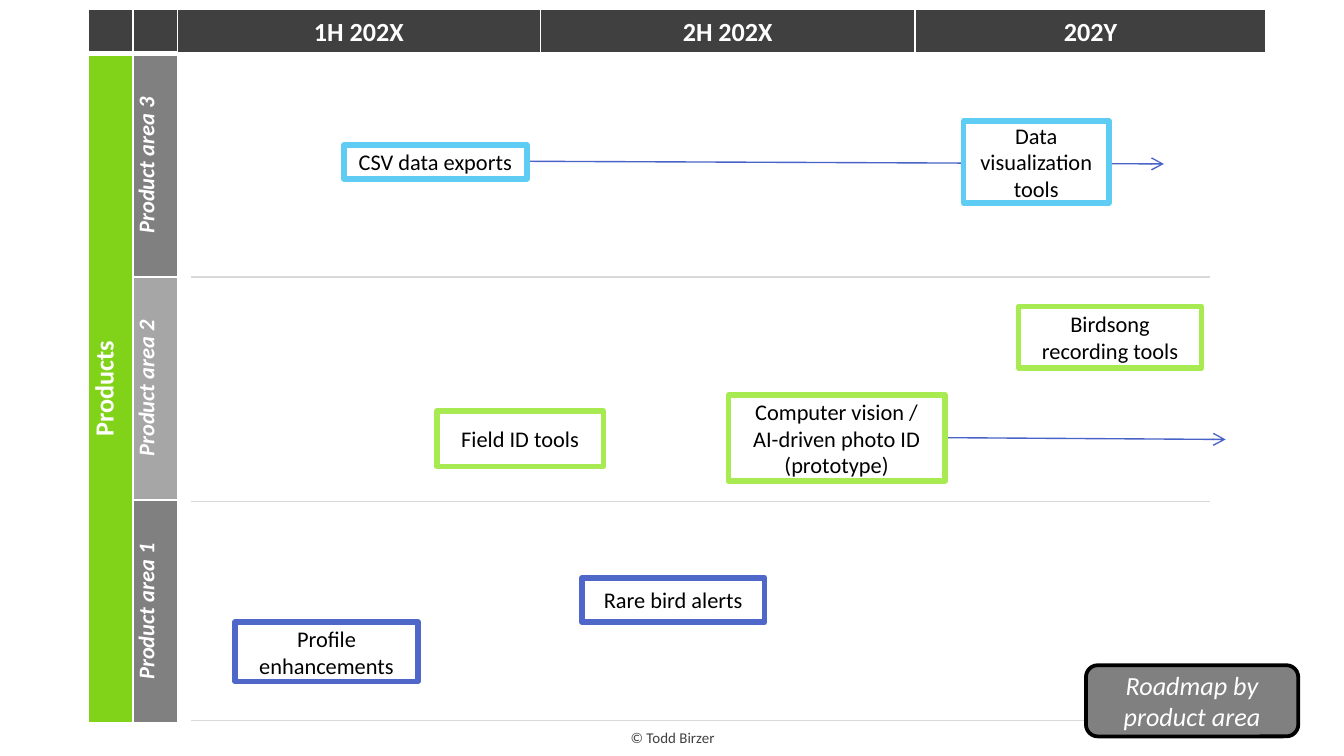
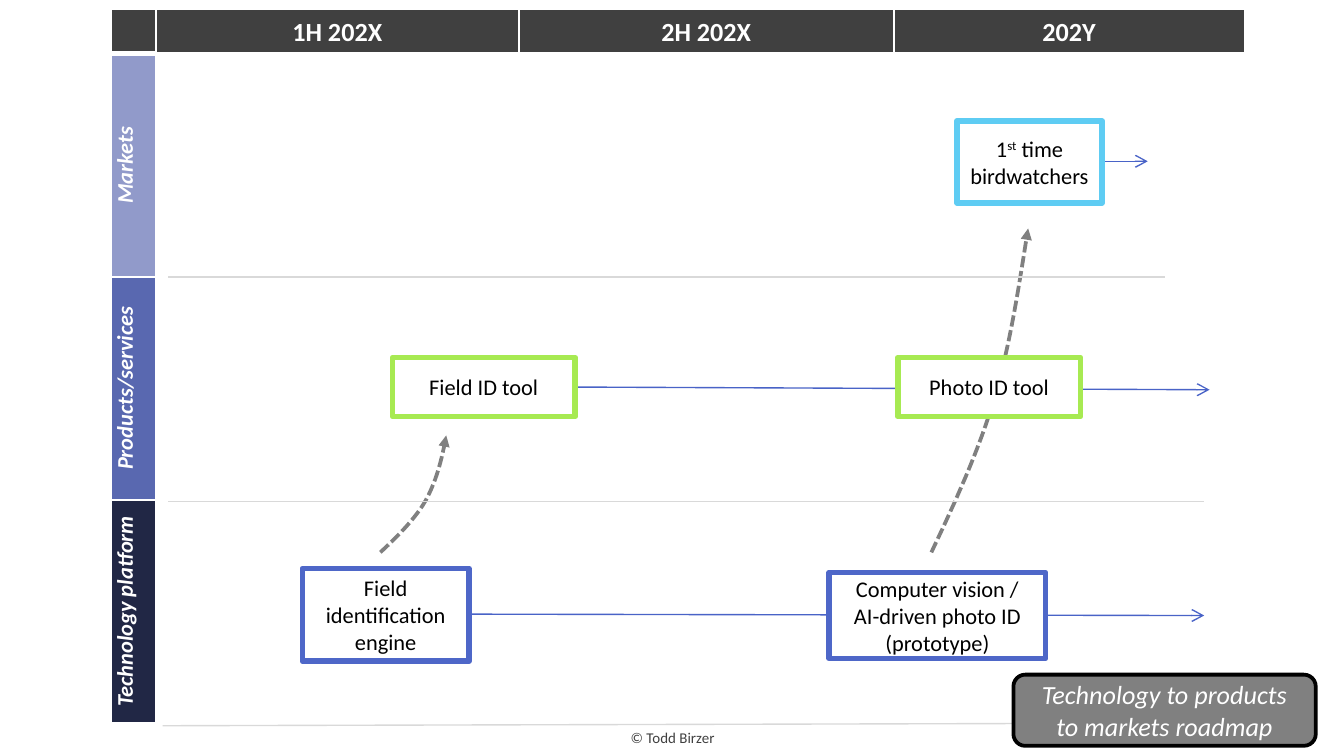
"""Build two roadmap slides: by product area, and from technology to markets."""
import lxml.etree
import pptx
import pptx.dml.color
import pptx.enum.dml
import pptx.enum.shapes
import pptx.enum.text
import pptx.oxml.ns
import pptx.util

INK = {
    "white": "FFFFFF", "black": "000000", "head": "404040", "gray": "808080",
    "pale": "A6A6A6", "rule": "D9D9D9", "arrow": "4963C7", "lime": "81D31A",
    "green": "A7EA52", "blue": "4E67C8", "sky": "5ECCF3",
    "mist": "919ACA", "slate": "5968B0", "navy": "212745",
}
FACE = "Calibri"
WIDE, HIGH = 100, 56.25
TOP, HEAD, LANE, RAIL = 0.7, 3.3, 16.6, 3.3
SPANS = {"1H 202X": 27, "2H 202X": 27.9, "202Y": 26.1}
PROTO = "Computer vision / AI-driven photo ID (prototype)"
MID = pptx.enum.text.MSO_ANCHOR.MIDDLE
FORMS = pptx.enum.shapes.MSO_SHAPE


def unit(num):
    """Turn grid units, a hundredth of the slide's width, into a length."""
    return pptx.util.Emu(round(num * 91440))


def tone(name):
    """Look up a colour."""
    return pptx.dml.color.RGBColor.from_string(INK[name])


def node(parent, tag, **attrs):
    """Add a drawing element below a parent."""
    return lxml.etree.SubElement(parent, pptx.oxml.ns.qn("a:" + tag), **attrs)


def write(frame, runs, size, ink, bold=False, slant=False):
    """Fill a text frame with one centred paragraph."""
    para = frame.paragraphs[0]
    para.alignment = pptx.enum.text.PP_ALIGN.CENTER
    for text, base in ([(runs, 0)] if isinstance(runs, str) else runs):
        run = para.add_run()
        run.text = text
        font = run.font
        font.name, font.size = FACE, pptx.util.Pt(size)
        font.bold, font.italic = bold, slant
        font.color.rgb = tone(ink)
        if base:
            run._r.get_or_add_rPr().set("baseline", str(base * 1000))


def stroke(line, ink, width, tip=None):
    """Set a line's colour, width and arrowhead."""
    line.color.rgb = tone(ink)
    line.width = pptx.util.Pt(width)
    if tip:
        node(line._get_or_add_ln(), "tailEnd", type=tip)


def link(slide, box, ends, ink, tip=None):
    """Draw a straight line between two points of a box."""
    left, top = box
    x1, y1, x2, y2 = ends
    item = slide.shapes.add_connector(
        pptx.enum.shapes.MSO_CONNECTOR.STRAIGHT,
        unit(left + x1), unit(top + y1), unit(left + x2), unit(top + y2))
    stroke(item.line, ink, 0.75, tip)
    node(item._element.spPr, "effectLst")


def block(slide, form, box, place, fill, edge, width):
    """Place an outlined shape in a box and return its text frame."""
    left, top = box
    col, row, wide, high = place
    item = slide.shapes.add_shape(
        form, unit(left + col), unit(top + row), unit(wide), unit(high))
    item.shadow.inherit = False
    item.fill.solid()
    item.fill.fore_color.rgb = tone(fill)
    stroke(item.line, edge, width)
    frame = item.text_frame
    frame.word_wrap = True
    frame.vertical_anchor = MID
    frame.margin_left = frame.margin_right = unit(0.9)
    return frame


def curve(slide, box, knots):
    """Draw a dashed arrow along joined cubic curves."""
    left, top = box
    dots = [knots[0]]
    for start in range(0, len(knots) - 1, 3):
        part = knots[start:start + 4]
        for step in range(1, 13):
            t = step / 12
            mix = ((1 - t) ** 3, 3 * t * (1 - t) ** 2,
                   3 * t * t * (1 - t), t ** 3)
            dots.append(tuple(
                sum(m * p[axis] for m, p in zip(mix, part))
                for axis in (0, 1)))
    dots = [(unit(left + x), unit(top + y)) for x, y in dots]
    path = slide.shapes.build_freeform(*dots[0])
    path.add_line_segments(dots[1:], close=False)
    item = path.convert_to_shape()
    item.shadow.inherit = False
    item.fill.background()
    item.line.dash_style = pptx.enum.dml.MSO_LINE.SQUARE_DOT
    stroke(item.line, "gray", 2, "triangle")


def paint(cell, fill, top=1, low=1):
    """Give a table cell white borders and a fill."""
    props = cell._tc.get_or_add_tcPr()
    for side, width in zip("LRTB", (1, 1, top, low)):
        edge = node(props, "ln" + side, w=str(width * 12700))
        node(node(edge, "solidFill"), "srgbClr", val=INK["white"])
    cell.fill.solid()
    cell.fill.fore_color.rgb = tone(fill)


def table(slide, box, cols, rows):
    """Add a plain table with the given column and row sizes."""
    left, top = box
    item = slide.shapes.add_table(
        len(rows), len(cols), unit(left), unit(top),
        unit(sum(cols)), unit(sum(rows))).table
    item.first_row = item.horz_banding = False
    for parts, sizes in ((item.columns, cols), (item.rows, rows)):
        for part, size in zip(parts, sizes):
            if parts is item.columns:
                part.width = unit(size)
            else:
                part.height = unit(size)
    return item


def header(slide, box):
    """Add the band of time spans."""
    grid = table(slide, box, list(SPANS.values()), [HEAD])
    for cell, name in zip(grid.rows[0].cells, SPANS):
        paint(cell, "head", low=3)
        write(cell.text_frame, name, 14, "white", bold=True)


def rail(slide, box, lanes, group):
    """Add the upright lane names, with a group name where there is one."""
    count = 2 if group else 1
    grid = table(slide, box, [RAIL] * count, [HEAD] + [LANE] * len(lanes))
    for row in range(len(lanes) + 1):
        for col in range(count):
            cell = grid.cell(row, col)
            cell.margin_left = cell.margin_right = 0
            cell.margin_top = cell.margin_bottom = 0
            if row == 0:
                paint(cell, "head", low=3)
                continue
            cell.vertical_anchor = MID
            cell._tc.get_or_add_tcPr().set("vert", "vert270")
            last = col == count - 1
            fill = lanes[row - 1]["fill"] if last else "lime"
            paint(cell, fill, top=3 if row == 1 else 1)
            if last:
                write(cell.text_frame, lanes[row - 1]["name"], 12, "white",
                      bold=True, slant=True)
    if group:
        grid.cell(1, 0).merge(grid.cell(len(lanes), 0))
        write(grid.cell(1, 0).text_frame, group, 14, "white", bold=True)


def lane(slide, box, data):
    """Fill one lane with its rule, arrow and boxes."""
    link(slide, box, data["rule"], "rule")
    if "arrow" in data:
        link(slide, box, data["arrow"], "arrow", "arrow")
    for text, edge, *place in data["items"]:
        frame = block(slide, FORMS.FLOWCHART_PROCESS, box, place,
                      "white", edge, 3)
        write(frame, text, 12, "black")


def footer(slide):
    """Add the footer line."""
    item = slide.shapes.add_textbox(
        unit(45.7), unit(53.7), unit(8.7), unit(2.4))
    item.text_frame.word_wrap = False
    item.text_frame.auto_size = pptx.enum.text.MSO_AUTO_SIZE.SHAPE_TO_FIT_TEXT
    write(item.text_frame, "© Todd Birzer", 8, "head")


def board(deck, left, lanes, tag, place, group=None, curves=()):
    """Build one roadmap slide whose time axis starts at left."""
    slide = deck.slides.add_slide(deck.slide_layouts[6])
    footer(slide)
    header(slide, (left, TOP))
    rail(slide, (left - RAIL * (2 if group else 1), TOP), lanes, group)
    for knots in curves:
        curve(slide, (left, TOP), knots)
    for row, data in enumerate(lanes):
        lane(slide, (left, TOP + HEAD + row * LANE), data)
    frame = block(slide, FORMS.ROUNDED_RECTANGLE, (0, 0), place,
                  "gray", "black", 2)
    write(frame, tag, 14, "white", slant=True)


AREAS = [
    {"name": "Product area 3", "fill": "gray", "rule": (1, 16.6, 76.8, 16.6),
     "arrow": (25.9, 8, 73.4, 8.2),
     "items": [("CSV data exports", "sky", 12.4, 6.8, 13.6, 2.5),
               ("Data visualization tools", "sky", 58.5, 5, 10.8, 6.1)]},
    {"name": "Product area 2", "fill": "pale", "rule": (1, 16.7, 76.8, 16.7),
     "arrow": (46.8, 11.9, 78, 12.1),
     "items": [("Field ID tools", "green", 19.3, 10, 12.4, 4.1),
               (PROTO, "green", 41, 8.8, 16.1, 6.4),
               ("Birdsong recording tools", "green", 62.6, 2.2, 13.6, 4.6)]},
    {"name": "Product area 1", "fill": "gray", "rule": (1, 16.4, 78, 16.4),
     "items": [("Rare bird alerts", "blue", 30.1, 5.8, 13.6, 3.3),
               ("Profile enhancements", "blue", 4.3, 9.1, 13.6, 4.4)]},
]
FIRST = [("1", 0), ("st", 30), (" time birdwatchers", 0)]
LAYERS = [
    {"name": "Markets", "fill": "mist", "rule": (0.9, 16.6, 75.1, 16.6),
     "arrow": (70.5, 8, 73.8, 8),
     "items": [(FIRST, "sky", 59.6, 5, 10.8, 6.1)]},
    {"name": "Products/services", "fill": "slate",
     "rule": (0.9, 16.7, 78, 16.7), "arrow": (31.1, 8.2, 78.4, 8.4),
     "items": [("Field ID tool", "green", 17.6, 6, 13.6, 4.4),
               ("Photo ID tool", "green", 55.2, 6, 13.6, 4.4)]},
    {"name": "Technology platform", "fill": "navy",
     "rule": (0.5, 16.8, 78.4, 16.6), "arrow": (23.3, 8.5, 78, 8.6),
     "items": [("Field identification engine", "blue", 10.9, 5.1, 12.4, 6.9),
               (PROTO, "blue", 50.1, 5.4, 16.1, 6.4)]},
]
FLOWS = [
    [(16.7, 40.4), (18, 39.2), (19.3, 37.9), (20.1, 36.5),
     (20.9, 35), (21.3, 33.4), (21.6, 31.7)],
    [(57.7, 40.4), (59.5, 36.6), (61.2, 32.9), (62.4, 28.9),
     (63.6, 24.8), (64.2, 20.6), (64.9, 16.3)],
]


def main():
    """Build and save the deck."""
    deck = pptx.Presentation()
    deck.slide_width, deck.slide_height = unit(WIDE), unit(HIGH)
    board(deck, 13.2, AREAS, "Roadmap by product area",
          (80.8, 49.5, 15.8, 5.3), group="Products")
    board(deck, 11.6, LAYERS, "Technology to products to markets roadmap",
          (75.4, 50.2, 22.5, 5.3), curves=FLOWS)
    deck.save("out.pptx")


if __name__ == "__main__":
    main()
